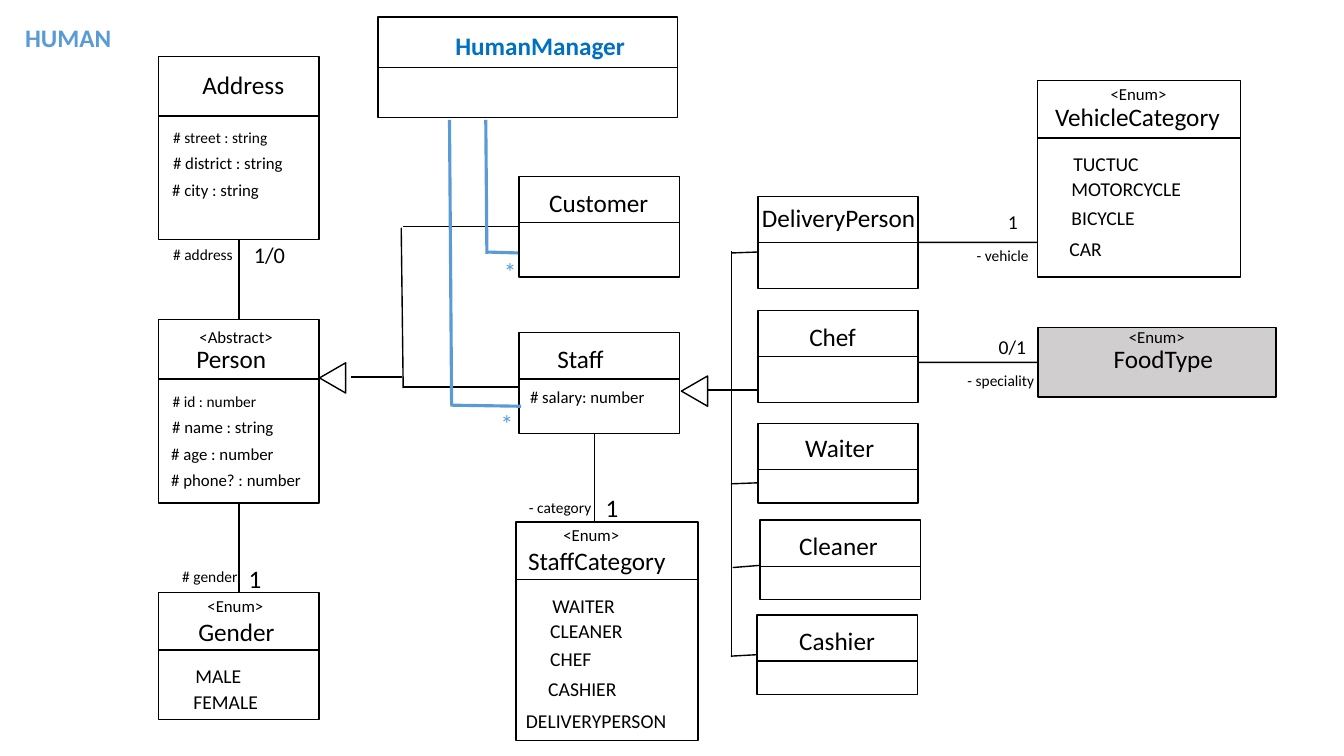
from dataclasses import dataclass

from lxml import etree
from pptx import Presentation
from pptx.dml.color import RGBColor
from pptx.enum.shapes import MSO_CONNECTOR, MSO_SHAPE
from pptx.enum.text import MSO_AUTO_SIZE
from pptx.oxml.ns import qn
from pptx.util import Pt

STRAIGHT = MSO_CONNECTOR.STRAIGHT
RECTANGLE = MSO_SHAPE.RECTANGLE
TRIANGLE = MSO_SHAPE.ISOSCELES_TRIANGLE
FIT_SHAPE = MSO_AUTO_SIZE.SHAPE_TO_FIT_TEXT
TOP, LEFT, BOTTOM, RIGHT = range(4)

FONT = "Calibri"
COLORS = {
    "black": "000000",
    "white": "FFFFFF",
    "gray": "D0CECE",
    "sky": "5B9BD5",
    "blue": "0070C0",
}


@dataclass(frozen=True)
class ClassBox:
    name: str
    left: float
    top: float
    width: float
    height: float
    divider: float = 0
    fill: str = "white"


@dataclass(frozen=True)
class Link:
    x1: float
    y1: float
    x2: float
    y2: float
    color: str = "black"
    weight: float = 1
    begin: tuple[str, int] | None = None
    end: tuple[str, int] | None = None


@dataclass(frozen=True)
class Label:
    text: str
    left: float
    top: float
    width: float
    size: float = 18
    color: str = "black"
    bold: bool = False


CLASS_BOXES = [
    ClassBox("Person", 113.4, 228.2, 114.5, 131, 42.5),
    ClassBox("Address", 113.4, 40.3, 114.5, 131, 42.5),
    ClassBox("Gender", 113.4, 423.4, 114.5, 90.7, 41),
    ClassBox("HumanManager", 270, 12.2, 213.8, 72, 36),
    ClassBox("Customer", 370.8, 126, 114.5, 72, 33),
    ClassBox("Staff", 370.8, 237.6, 114.5, 72, 33),
    ClassBox("StaffCategory", 368.6, 373, 130, 156.2, 41),
    ClassBox("DeliveryPerson", 541.4, 140.4, 114.5, 65.5, 33),
    ClassBox("Chef", 541.4, 221.8, 114.5, 65.5, 33),
    ClassBox("Waiter", 541.4, 302.4, 114.5, 56.9, 33),
    ClassBox("Cleaner", 542.9, 371.5, 114.5, 56.9, 33),
    ClassBox("Cashier", 540.7, 439.2, 114.5, 56.9, 33),
    ClassBox("VehicleCategory", 740.9, 57.6, 145.2, 140.4, 41),
    ClassBox("FoodType", 741.6, 234, 169.9, 49.7, fill="gray"),
]

LINKS = [
    Link(170.7, 171.3, 170.7, 228.2, begin=("Address", BOTTOM), end=("Person", TOP)),
    Link(170.7, 359.2, 170.7, 423.4, begin=("Person", BOTTOM), end=("Gender", TOP)),
    Link(250.6, 269.3, 287.3, 269.3),
    Link(288, 277.2, 286.6, 162.7),
    Link(288, 162, 370.8, 162, end=("Customer", LEFT)),
    Link(288, 276.5, 370.8, 276.5),
    Link(424.8, 309.6, 424.8, 373),
    Link(504.7, 278.6, 541.4, 278.6),
    Link(522.7, 469.4, 522.7, 179.3),
    Link(522.7, 180.7, 541.4, 180),
    Link(522, 345.6, 540.7, 344.9),
    Link(523.4, 405.4, 542.2, 403.9),
    Link(522, 468.7, 540.7, 467.6, end=("Cashier", LEFT)),
    Link(655.9, 173.1, 740.9, 173.1, begin=("DeliveryPerson", RIGHT)),
    Link(655.9, 258.9, 741.6, 258.9, end=("FoodType", LEFT)),
    Link(347.8, 181.4, 347, 85.7, "sky", 2.25),
    Link(370.1, 180.7, 347, 180, "sky", 2.25),
    Link(322.6, 289.4, 321.1, 85.7, "sky", 2.25),
    Link(372.2, 290.2, 321.8, 289.4, "sky", 2.25),
]

INHERITANCE_HEADS = [(226.8, 260.6), (485.3, 270)]

LABELS = [
    Label("HUMAN", 10.8, 12.2, 77, color="sky", bold=True),
    Label("HumanManager", 318.2, 18, 136.8, color="blue", bold=True),
    Label("Address", 137.5, 46.1, 73.4),
    Label("# street : string", 116.6, 87.8, 83, 11),
    Label("# district : string", 116.6, 105.8, 93.6, 12),
    Label("# city : string", 115.9, 124.6, 77, 12),
    Label("# address", 116.6, 171.4, 57.6, 11),
    Label("1/0", 174.2, 168.5, 37.4, 16),
    Label("<Abstract>", 135.4, 229.7, 67.7, 12),
    Label("Person", 133.2, 241.9, 64.8),
    Label("# id : number", 116.3, 276.5, 75, 11),
    Label("# name : string", 115.9, 293.8, 87.8, 12),
    Label("# age : number", 115.2, 313.2, 88.6, 12),
    Label("# phone? : number", 115.2, 331.9, 108, 12),
    Label("# gender", 123.1, 401.8, 54.7, 11),
    Label("1", 170.6, 398.9, 23.8),
    Label("<Enum>", 141.1, 421.9, 54.7, 12),
    Label("Gender", 134.6, 437, 69.8),
    Label("MALE", 132.5, 470.9, 47.5, 14),
    Label("FEMALE", 131, 488.9, 61.2, 14),
    Label("Customer", 385.2, 130.3, 88),
    Label("*", 352.8, 179.3, 23.8, color="sky"),
    Label("*", 350.6, 288, 23.8, color="sky"),
    Label("Staff", 391, 241.9, 48.2),
    Label("# salary: number", 371.5, 272.9, 97.2, 12),
    Label("- category", 370.8, 352.1, 59.8, 11),
    Label("1", 425.5, 347.8, 23.8),
    Label("<Enum>", 395.3, 371.5, 62.6, 12),
    Label("StaffCategory", 370.1, 385.9, 129.6),
    Label("WAITER", 387.4, 420.5, 67.7, 14),
    Label("CLEANER", 385.9, 438.5, 75.6, 14),
    Label("CHEF", 385.9, 458.6, 52.6, 14),
    Label("CASHIER", 384.5, 480.2, 80.6, 14),
    Label("DELIVERYPERSON", 368.6, 502.6, 133.9, 14),
    Label("DeliveryPerson", 537.1, 141.1, 125.3),
    Label("Chef", 571, 226.1, 48.2),
    Label("Waiter", 568.1, 305.3, 64.1),
    Label("Cleaner", 563.8, 375.1, 71.3),
    Label("Cashier", 563.8, 442.8, 69.1),
    Label("<Enum>", 786.2, 56.2, 54.7, 12),
    Label("VehicleCategory", 746.6, 69.1, 133.9),
    Label("TUCTUC", 759.6, 105.1, 61.9, 14),
    Label("MOTORCYCLE", 758.2, 123.1, 93.6, 14),
    Label("BICYCLE", 758.2, 143.3, 87.1, 14),
    Label("CAR", 756.7, 165.6, 70.6, 14),
    Label("1", 712.8, 146.2, 21.6, 14),
    Label("- vehicle", 690.5, 172.1, 51.8, 11),
    Label("0/1", 706.3, 235.4, 34.6, 14),
    Label("- speciality", 684, 261.4, 62.6, 11),
    Label("<Enum>", 799.2, 229.7, 54.7, 12),
    Label("FoodType", 788.4, 241.9, 86.4),
]


def rgb(name: str) -> RGBColor:
    return RGBColor.from_string(COLORS[name])


def add_outlined(page, kind, left: float, top: float, width: float, height: float, fill: str):
    shape = page.shapes.add_shape(kind, Pt(left), Pt(top), Pt(width), Pt(height))
    shape.shadow.inherit = False
    shape.fill.solid()
    shape.fill.fore_color.rgb = rgb(fill)
    shape.line.color.rgb = rgb("black")
    shape.line.width = Pt(1)
    return shape


def add_link(page, link: Link, boxes: dict) -> None:
    line = page.shapes.add_connector(STRAIGHT, Pt(link.x1), Pt(link.y1), Pt(link.x2), Pt(link.y2))
    line.line.color.rgb = rgb(link.color)
    line.line.width = Pt(link.weight)
    etree.SubElement(line._element.spPr, qn("a:effectLst"))
    if link.begin:
        name, side = link.begin
        line.begin_connect(boxes[name], side)
    if link.end:
        name, side = link.end
        line.end_connect(boxes[name], side)


def add_class_box(page, item: ClassBox):
    box = add_outlined(page, RECTANGLE, item.left, item.top, item.width, item.height, item.fill)
    if item.divider:
        y = item.top + item.divider
        add_link(page, Link(item.left, y, item.left + item.width, y), {})
    return box


def add_label(page, label: Label) -> None:
    height = label.size * 1.2 + 7.2
    box = page.shapes.add_textbox(Pt(label.left), Pt(label.top), Pt(label.width), Pt(height))
    box.text_frame.word_wrap = True
    box.text_frame.auto_size = FIT_SHAPE
    para = box.text_frame.paragraphs[0]
    para.text = label.text
    para.font.name = FONT
    para.font.size = Pt(label.size)
    para.font.bold = label.bold
    para.font.color.rgb = rgb(label.color)


def main() -> None:
    deck = Presentation()
    deck.slide_width, deck.slide_height = Pt(960), Pt(540)
    page = deck.slides.add_slide(deck.slide_layouts[6])
    boxes = {item.name: add_class_box(page, item) for item in CLASS_BOXES}
    for link in LINKS:
        add_link(page, link, boxes)
    for left, top in INHERITANCE_HEADS:
        add_outlined(page, TRIANGLE, left, top, 21.6, 18.7, "white").rotation = 270
    for label in LABELS:
        add_label(page, label)
    deck.save("out.pptx")


if __name__ == "__main__":
    main()
